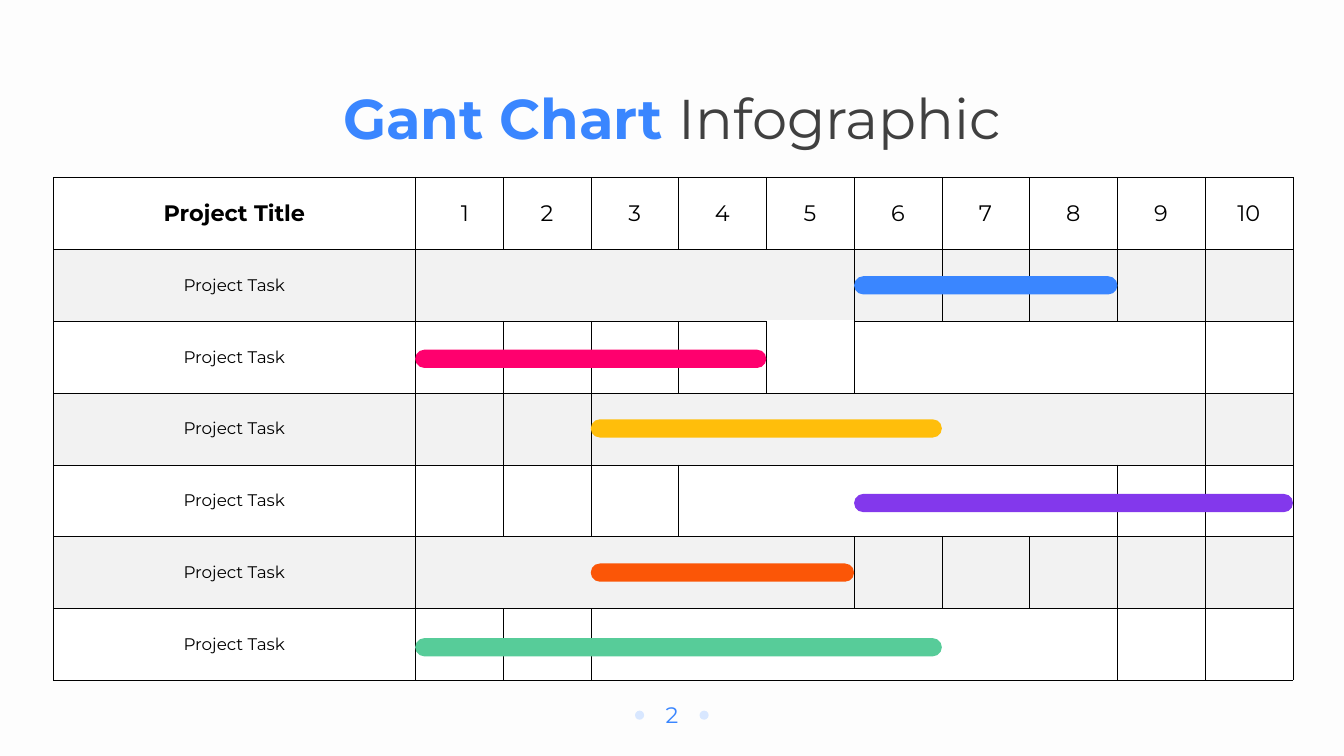
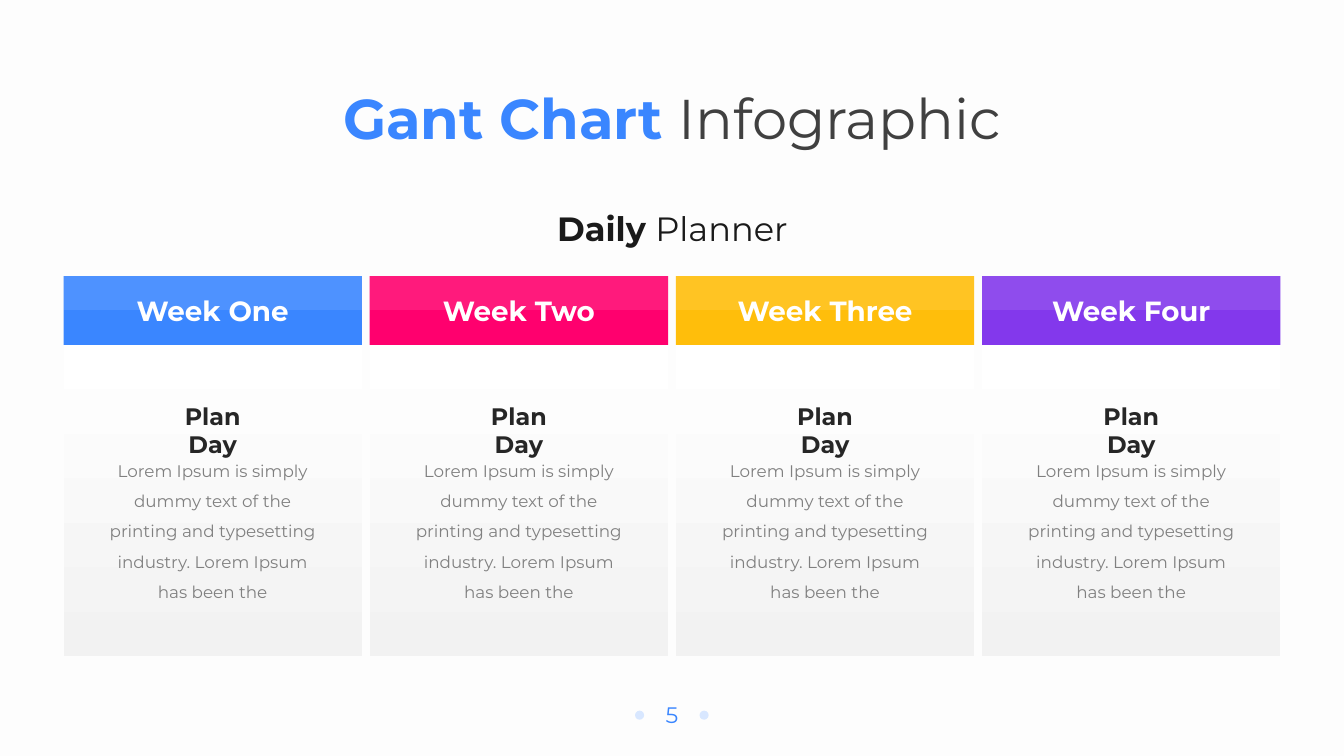
import lxml.etree
import pptx
import pptx.dml.color
import pptx.enum.shapes
import pptx.enum.text
import pptx.oxml.ns
import pptx.util

Pt = pptx.util.Pt
qn = pptx.oxml.ns.qn
rgb = pptx.dml.color.RGBColor.from_string
Shape = pptx.enum.shapes.MSO_SHAPE
Anchor = pptx.enum.text.MSO_ANCHOR
CENTER = pptx.enum.text.PP_ALIGN.CENTER

FONT = "Montserrat"
BLUE, PINK, YELLOW, PURPLE = "3A86FF", "FF006E", "FFBE0B", "8338EC"
ORANGE, GREEN = "FB5607", "57CC99"
WHITE, LIGHT_GREY, BLACK = "FFFFFF", "F2F2F2", "000000"


def add_block(page, kind, left, top, width, height, colour):
    block = page.shapes.add_shape(kind, Pt(left), Pt(top), Pt(width), Pt(height))
    block.shadow.inherit = False
    block.line.fill.background()
    block.fill.solid()
    block.fill.fore_color.rgb = rgb(colour)
    return block


def add_text(page, left, top, width, height, size, runs,
             anchor=Anchor.TOP, spacing=None, inset=(7.2, 3.6)):
    """Add a centred paragraph; runs holds (text, colour, bold) for each span."""
    box = page.shapes.add_textbox(Pt(left), Pt(top), Pt(width), Pt(height))
    frame = box.text_frame
    frame.word_wrap = True
    frame.vertical_anchor = anchor
    frame.margin_left = frame.margin_right = Pt(inset[0])
    frame.margin_top = frame.margin_bottom = Pt(inset[1])
    para = frame.paragraphs[0]
    para.alignment = CENTER
    para.line_spacing = spacing
    para.font.name = FONT
    para.font.size = Pt(size)
    for text, colour, bold in runs:
        span = para.add_run()
        span.text = text
        span.font.bold = bold
        span.font.color.rgb = rgb(colour)


deck = pptx.Presentation()
deck.slide_width, deck.slide_height = Pt(960), Pt(540)
backdrop = deck.slide_master.background.fill
backdrop.solid()
backdrop.fore_color.rgb = rgb("FDFDFD")

# Title and footer on every page
for number in ("2", "5"):
    page = deck.slides.add_slide(deck.slide_layouts[6])
    add_text(page, 234, 56.2, 492, 55.4, 40,
             [("Gant Chart ", BLUE, True), ("Infographic", "404040", False)])
    add_text(page, 457.7, 497.5, 44.6, 26.6, 16, [(number, BLUE, False)])
    for dot_left in (453.6, 499.7):
        add_block(page, Shape.OVAL, dot_left, 507.6, 6.5, 6.5, "D8E7FF")

gantt_page, planner_page = deck.slides

# Gantt chart: a task column beside a grid of ten periods
TABLE_TOP, ROW_HEIGHT, ROWS = 126.7, 51.33, 7
GRID_LEFT, PERIOD_WIDTH, PERIODS = 296.6, 62.7, 10
MERGED = {1: (0, 4), 2: (5, 8), 3: (2, 8), 4: (3, 7), 5: (0, 4), 6: (2, 7)}

tables = []
for left, column_width, columns in ((38.2, 258.4, 1),
                                    (GRID_LEFT, PERIOD_WIDTH, PERIODS)):
    table = gantt_page.shapes.add_table(
        ROWS, columns, Pt(left), Pt(TABLE_TOP),
        Pt(column_width * columns), Pt(ROW_HEIGHT * ROWS)).table
    table.first_row = table.horz_banding = False
    for column in table.columns:
        column.width = Pt(column_width)
    for row_index, row in enumerate(table.rows):
        row.height = Pt(ROW_HEIGHT)
        for column_index, cell in enumerate(row.cells):
            open_top = columns > 1 and (row_index, column_index) == (2, 4)
            properties = cell._tc.get_or_add_tcPr()
            for side in ("lnL", "lnR", "lnT", "lnB"):
                is_open = open_top and side == "lnT"
                edge = lxml.etree.SubElement(properties, qn("a:" + side))
                edge.set("w", str(Pt(1 if is_open else 0.25)))
                paint = lxml.etree.SubElement(edge, qn("a:solidFill"))
                lxml.etree.SubElement(paint, qn("a:srgbClr")).set(
                    "val", WHITE if is_open else BLACK)
            cell.fill.solid()
            cell.fill.fore_color.rgb = rgb(LIGHT_GREY if row_index % 2 else WHITE)
            cell.vertical_anchor = Anchor.MIDDLE
            para = cell.text_frame.paragraphs[0]
            if columns == 1:
                para.text = "Project Task" if row_index else "Project Title"
            elif row_index == 0:
                para.text = str(column_index + 1)
            para.alignment = CENTER
            para.font.name = FONT
            para.font.size = Pt(12 if row_index else 16)
            para.font.bold = columns == 1 and row_index == 0
            para.font.color.rgb = rgb(BLACK)
    tables.append(table)

period_table = tables[1]
period_table.cell(0, 0).margin_left = Pt(15.6)
for row_index, (first, last) in MERGED.items():
    period_table.cell(row_index, first).merge(period_table.cell(row_index, last))

for top, first, length, colour in (
        (197.3, 5, 3, BLUE), (249.8, 0, 4, PINK), (299.5, 2, 4, YELLOW),
        (352.8, 5, 5, PURPLE), (402.5, 2, 3, ORANGE), (455.8, 0, 6, GREEN)):
    bar = add_block(gantt_page, Shape.ROUNDED_RECTANGLE,
                    GRID_LEFT + first * PERIOD_WIDTH, top,
                    length * PERIOD_WIDTH, 13, colour)
    bar.adjustments[0] = 0.5

# Daily planner: one card per week
CARD_LEFT, CARD_WIDTH, CARD_PITCH = 45.4, 213.1, 218.7
HEADER_TOP, HEADER_HEIGHT, BODY_HEIGHT = 197.3, 49, 222.5
BODY = ("Lorem Ipsum is simply dummy text of the printing and typesetting "
        "industry. Lorem Ipsum has been the")

add_text(planner_page, 366.5, 132.5, 227.5, 49, 24,
         [("Daily ", "1A1A1A", True), ("Planner", "1A1A1A", False)],
         Anchor.BOTTOM, 0.9)

weeks = (("Week One", BLUE), ("Week Two", PINK),
         ("Week Three", YELLOW), ("Week Four", PURPLE))
for index, (week, colour) in enumerate(weeks):
    left = CARD_LEFT + index * CARD_PITCH
    middle = left + CARD_WIDTH / 2
    card = add_block(planner_page, Shape.RECTANGLE, left,
                     HEADER_TOP + HEADER_HEIGHT, CARD_WIDTH, BODY_HEIGHT, WHITE)
    card.fill.gradient()
    card.fill.gradient_angle = 270
    for stop, position, shade in zip(card.fill.gradient_stops, (0, 1),
                                     (WHITE, LIGHT_GREY)):
        stop.position = position
        stop.color.rgb = rgb(shade)
    add_block(planner_page, Shape.RECTANGLE, left, HEADER_TOP,
              CARD_WIDTH, HEADER_HEIGHT, colour)
    sheen = add_block(planner_page, Shape.RECTANGLE, left, HEADER_TOP,
                      CARD_WIDTH, 24, WHITE)
    sheen_colour = sheen._element.spPr.find(qn("a:solidFill"))[0]
    lxml.etree.SubElement(sheen_colour, qn("a:alpha")).set("val", "10000")
    add_text(planner_page, middle - 83, 210.2, 166, 26.6, 19.8,
             [(week, WHITE, True)], Anchor.MIDDLE, 0.9)
    add_text(planner_page, middle - 36, 286.6, 72, 42, 17,
             [("Plan Day", "262626", True)], inset=(0, 0))
    add_text(planner_page, middle - 86.4, 318.2, 172.8, 114.5, 12,
             [(BODY, "808080", False)], spacing=1.5)

deck.save("out.pptx")
